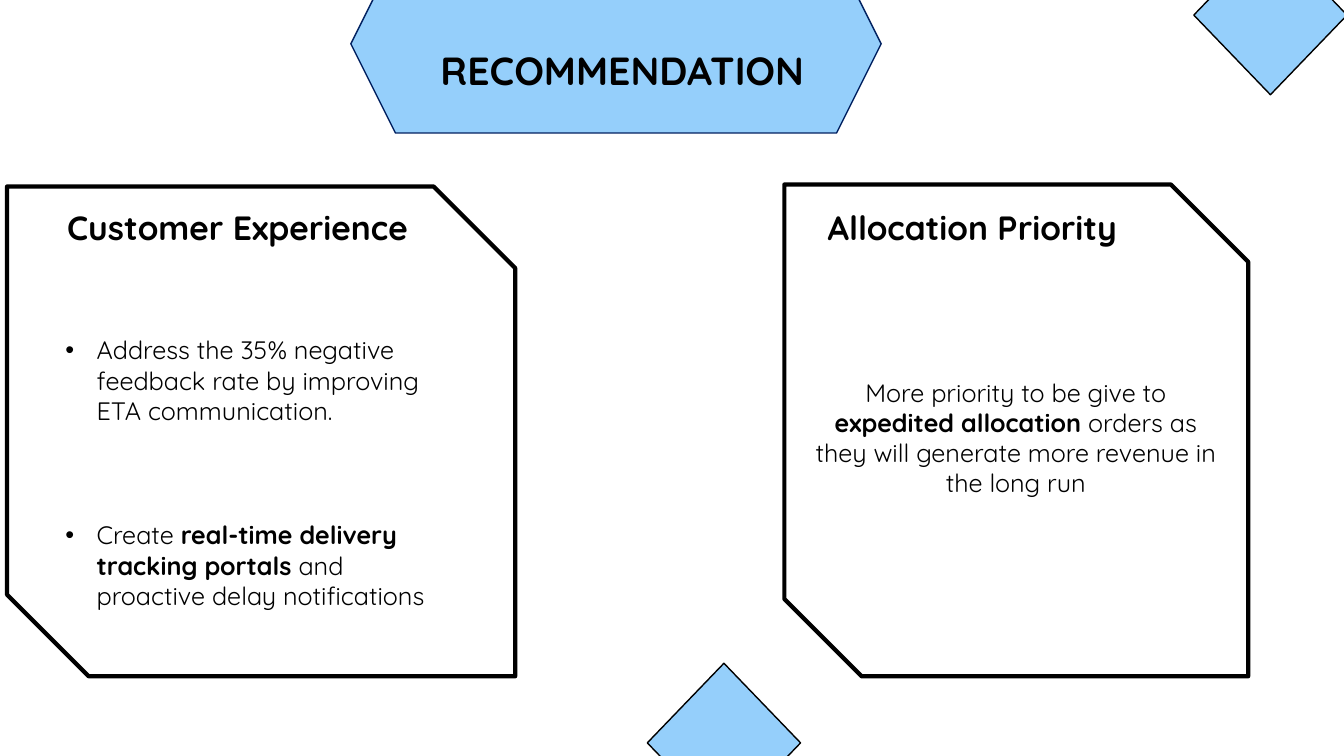
from dataclasses import dataclass

from lxml.etree import SubElement
from pptx import Presentation
from pptx.dml.color import RGBColor
from pptx.enum.shapes import MSO_SHAPE
from pptx.enum.text import PP_ALIGN
from pptx.oxml.ns import qn
from pptx.util import Inches, Pt

FONT = "Quicksand"
SKY, NAVY, BLACK = "95CFFB", "002060", "000000"
INDENT = Inches(0.31)


@dataclass
class Box:
    left: float
    top: float
    width: float
    height: float

    def lengths(self) -> list[Inches]:
        return [Inches(v) for v in (self.left, self.top, self.width, self.height)]


@dataclass
class Outline:
    preset: MSO_SHAPE
    box: Box
    fill: str | None = None
    line: str = BLACK
    weight: float = 1


@dataclass
class Run:
    text: str
    bold: bool = False


@dataclass
class Passage:
    box: Box
    paragraphs: list[list[Run]]
    size: int = 18
    align: PP_ALIGN = PP_ALIGN.LEFT
    bulleted: bool = False
    gap: float = 0


def color(value: str) -> RGBColor:
    return RGBColor.from_string(value)


def draw_outline(slide, outline: Outline) -> None:
    shape = slide.shapes.add_shape(outline.preset, *outline.box.lengths())
    shape.shadow.inherit = False
    if outline.fill:
        shape.fill.solid()
        shape.fill.fore_color.rgb = color(outline.fill)
    else:
        shape.fill.background()
    shape.line.color.rgb = color(outline.line)
    shape.line.width = Pt(outline.weight)


def add_bullet(paragraph) -> None:
    properties = paragraph._p.get_or_add_pPr()
    properties.set("marL", str(INDENT))
    properties.set("indent", str(-INDENT))
    SubElement(properties, qn("a:buFont"), typeface="Arial")
    SubElement(properties, qn("a:buChar"), char="•")


def draw_passage(slide, passage: Passage) -> None:
    frame = slide.shapes.add_textbox(*passage.box.lengths()).text_frame
    frame.word_wrap = True
    for index, runs in enumerate(passage.paragraphs):
        paragraph = frame.add_paragraph() if index else frame.paragraphs[0]
        paragraph.alignment = passage.align
        if index:
            paragraph.space_before = Pt(passage.gap)
        if passage.bulleted:
            add_bullet(paragraph)
        font = paragraph.font
        font.name = FONT
        font.size = Pt(passage.size)
        font.color.rgb = color(BLACK)
        same_weight = len({run.bold for run in runs}) == 1
        if same_weight:
            font.bold = runs[0].bold
        for item in runs:
            run = paragraph.add_run()
            run.text = item.text
            if not same_weight:
                run.font.bold = item.bold


OUTLINES = [
    # Corner and bottom decorations
    Outline(MSO_SHAPE.DIAMOND, Box(11.84, -0.64, 1.52, 1.58), SKY),
    Outline(MSO_SHAPE.DIAMOND, Box(6.42, 6.58, 1.52, 1.58), SKY),
    # Title banner
    Outline(MSO_SHAPE.HEXAGON, Box(3.48, -0.45, 5.26, 1.77), SKY, NAVY),
    # Card frames
    Outline(MSO_SHAPE.SNIP_2_DIAG_RECTANGLE, Box(0.07, 1.85, 5.04, 4.86), weight=3),
    Outline(MSO_SHAPE.SNIP_2_DIAG_RECTANGLE, Box(7.78, 1.83, 4.6, 4.88), weight=3),
]

PASSAGES = [
    Passage(Box(4.27, 0.41, 5.61, 0.57), [[Run("RECOMMENDATION", True)]], 28),
    # Customer experience card
    Passage(Box(0.48, 2, 3.75, 0.5), [[Run("Customer Experience", True)]], 24,
            PP_ALIGN.CENTER),
    Passage(
        Box(0.55, 3.27, 4.08, 2.82),
        [
            [Run("Address the 35% negative feedback rate by improving "
                 "ETA communication.")],
            [Run("Create "), Run("real-time delivery tracking portals", True),
             Run(" and proactive delay notifications")],
        ],
        bulleted=True,
        gap=67.5,
    ),
    # Allocation priority card
    Passage(Box(8.11, 2, 3.54, 0.5), [[Run("Allocation Priority", True)]], 24),
    Passage(
        Box(7.97, 3.69, 4.21, 1.31),
        [[Run("More priority to be give to "), Run("expedited allocation ", True),
          Run("orders as they will generate more revenue in the long run")]],
        align=PP_ALIGN.CENTER,
    ),
]


def main() -> None:
    presentation = Presentation()
    presentation.slide_width = Inches(13.33)
    presentation.slide_height = Inches(7.5)
    slide = presentation.slides.add_slide(presentation.slide_layouts[6])
    for outline in OUTLINES:
        draw_outline(slide, outline)
    for passage in PASSAGES:
        draw_passage(slide, passage)
    presentation.save("out.pptx")


if __name__ == "__main__":
    main()
